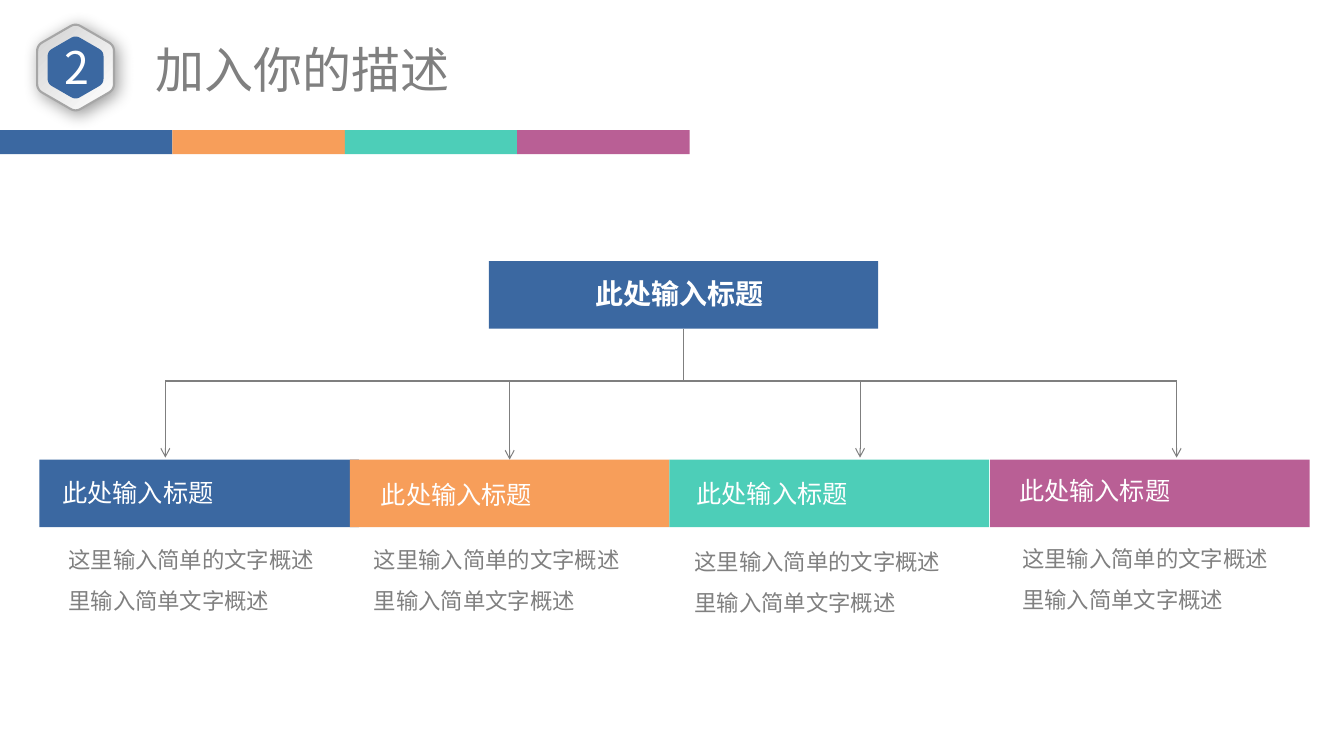
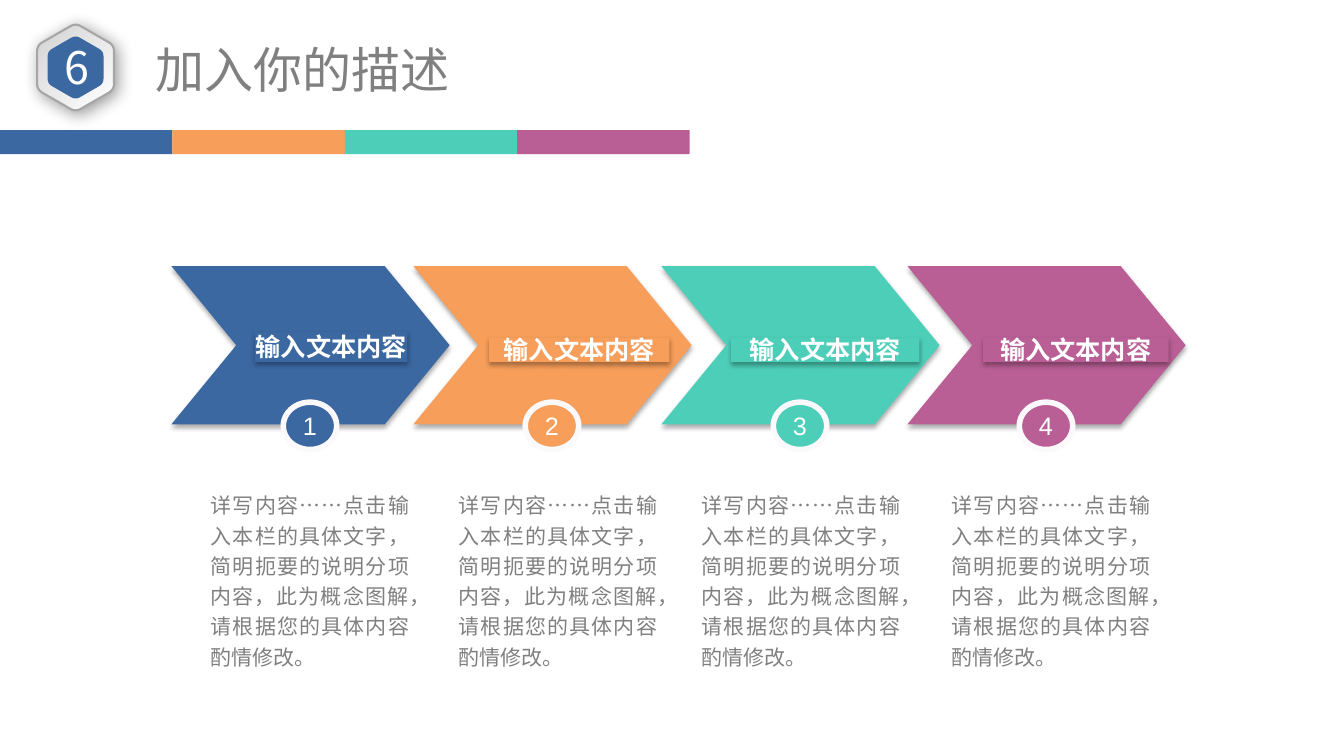
import dataclasses
import math
import typing

import pptx
import pptx.dml.color
import pptx.enum.shapes
import pptx.enum.text
import pptx.oxml
import pptx.oxml.ns
import pptx.shapes.autoshape
import pptx.shapes.base
import pptx.shapes.connector
import pptx.slide
import pptx.util

Inches = pptx.util.Inches
Pt = pptx.util.Pt
KIND = pptx.enum.shapes.MSO_SHAPE
ALIGN = pptx.enum.text.PP_ALIGN
ANCHOR = pptx.enum.text.MSO_ANCHOR
Frame = tuple[float, float, float, float]

COLORS = {
    "blue": "3B68A1", "orange": "F79E5A", "green": "4DCEB8", "pink": "B95F95",
    "text": "808080", "line": "7F7F7F", "white": "FFFFFF", "silver": "D3D3D3",
    "edge": "A6A6A6", "ring": "FBF9FC",
}
BANDS = ("blue", "orange", "green", "pink")
SANS = "Noto Sans CJK SC"
WIDE, HIGH = 13.33, 7.5
BAND = 1.71
TILE = 3.17
ROW, RAIL = 4.56, 3.78
NOTE = "这里输入简单的文字概述里输入简单文字概述"
DETAIL = "详写内容……点击输入本栏的具体文字，简明扼要的说明分项内容，此为概念图解，请根据您的具体内容酌情修改。"


@dataclasses.dataclass(frozen=True)
class Style:
    size: float
    color: str = "text"
    bold: bool = False
    face: str = SANS
    align: typing.Any = ALIGN.LEFT
    anchor: typing.Any = ANCHOR.TOP
    inset: tuple[float, float] = (0.1, 0.05)
    space: float = 1.0


@dataclasses.dataclass(frozen=True)
class Shade:
    alpha: int
    blur: float
    gap: float
    angle: int


@dataclasses.dataclass(frozen=True)
class Branch:
    color: str
    left: float
    arrow: float
    head: tuple[float, float]
    note: tuple[float, float]


@dataclasses.dataclass(frozen=True)
class Step:
    color: str
    left: float
    label: Frame
    body: float


TITLE = Style(35, align=ALIGN.CENTER, anchor=ANCHOR.MIDDLE, inset=(0.13, 0.06))
NUMBER = Style(32, "white", align=ALIGN.CENTER, inset=(0.07, 0.04))
ROOT = Style(20, "white", True)
HEAD = Style(18, "white")
BODY = Style(16, space=1.5)
LABEL = Style(18, "white", True, align=ALIGN.CENTER, anchor=ANCHOR.MIDDLE, inset=(0, 0))
COUNT = dataclasses.replace(LABEL, bold=False, face="Arial")
PROSE = Style(15, align=ALIGN.JUSTIFY, inset=(0, 0), space=1.2)
GLOW = Shade(40, 12, 3, 45)
DROP = Shade(32, 3.5, 2.2, 90)

BRANCHES = (
    Branch("blue", 0.39, 1.64, (0.52, 4.69), (0.58, 5.24)),
    Branch("orange", 3.47, 5.02, (3.68, 4.71), (3.61, 5.24)),
    Branch("green", 6.64, 8.53, (6.81, 4.7), (6.79, 5.26)),
    Branch("pink", 9.82, 11.67, (10.01, 4.67), (10.04, 5.23)),
)
STEPS = (
    Step("blue", 1.7, (2.53, 3.29, 1.51, 0.3), 2.09),
    Step("orange", 4.1, (4.85, 3.35, 1.79, 0.24), 4.55),
    Step("green", 6.56, (7.25, 3.35, 1.87, 0.24), 6.96),
    Step("pink", 9.0, (9.75, 3.35, 1.84, 0.24), 9.44),
)


def tint(name: str) -> pptx.dml.color.RGBColor:
    return pptx.dml.color.RGBColor.from_string(COLORS[name])


def write(shape: pptx.shapes.base.BaseShape, text: str, style: Style, wrap: bool = True) -> None:
    frame = shape.text_frame
    across, down = (Inches(gap) for gap in style.inset)
    box = {
        "word_wrap": wrap, "vertical_anchor": style.anchor,
        "margin_left": across, "margin_right": across,
        "margin_top": down, "margin_bottom": down,
    }
    for name, value in box.items():
        setattr(frame, name, value)
    line = frame.paragraphs[0]
    line.alignment = style.align
    line.line_spacing = style.space
    run = line.add_run()
    run.text = text
    for name, value in {"size": Pt(style.size), "bold": style.bold, "name": style.face}.items():
        setattr(run.font, name, value)
    run.font.color.rgb = tint(style.color)
    props = run._r.get_or_add_rPr()
    props.append(props.makeelement(pptx.oxml.ns.qn("a:ea"), {"typeface": style.face}))


def put_text(slide: pptx.slide.Slide, frame: Frame, text: str, style: Style) -> None:
    write(slide.shapes.add_textbox(*map(Inches, frame)), text, style)


def paint(shape: pptx.shapes.autoshape.Shape, color: str, shade: Shade | None = None) -> None:
    shape.fill.solid()
    shape.fill.fore_color.rgb = tint(color)
    shape.line.fill.background()
    shape.shadow.inherit = False
    if shade:
        cast(shape, shade)


def cast(shape: pptx.shapes.autoshape.Shape, shade: Shade) -> None:
    shape.shadow.inherit = False
    node = pptx.oxml.parse_xml(
        f'<a:outerShdw {pptx.oxml.ns.nsdecls("a")} blurRad="{Pt(shade.blur)}" '
        f'dist="{Pt(shade.gap)}" dir="{shade.angle * 60000}" algn="ctr" rotWithShape="0">'
        f'<a:srgbClr val="000000"><a:alpha val="{shade.alpha * 1000}"/></a:srgbClr>'
        "</a:outerShdw>"
    )
    shape._element.spPr.find(pptx.oxml.ns.qn("a:effectLst")).append(node)


def put_shape(
    slide: pptx.slide.Slide, kind: typing.Any, frame: Frame, color: str, shade: Shade | None = None
) -> pptx.shapes.autoshape.Shape:
    shape = slide.shapes.add_shape(kind, *map(Inches, frame))
    paint(shape, color, shade)
    return shape


def put_line(
    slide: pptx.slide.Slide, start: tuple[float, float], end: tuple[float, float], arrow: bool = False
) -> pptx.shapes.connector.Connector:
    line = slide.shapes.add_connector(
        pptx.enum.shapes.MSO_CONNECTOR.STRAIGHT, *map(Inches, (*start, *end))
    )
    line.line.color.rgb = tint("line")
    line.line.width = Pt(0.75)
    props = line._element.spPr
    if arrow:
        stroke = props.find(pptx.oxml.ns.qn("a:ln"))
        stroke.append(stroke.makeelement(pptx.oxml.ns.qn("a:tailEnd"), {"type": "arrow"}))
    props.append(props.makeelement(pptx.oxml.ns.qn("a:effectLst"), {}))
    return line


def put_hex(slide: pptx.slide.Slide, radius: float, cut: float) -> pptx.shapes.autoshape.Shape:
    angles = [math.radians(60 * turn - 90) for turn in range(6)]
    peaks = [(0.75 + radius * math.cos(a), 0.67 + radius * math.sin(a)) for a in angles]
    points = []
    for index, peak in enumerate(peaks):
        start, end = (
            [p + (q - p) * cut / radius for p, q in zip(peak, peaks[near])]
            for near in (index - 1, (index + 1) % 6)
        )
        for part in range(7):
            t = part / 6
            points.append(tuple(
                Inches((1 - t) ** 2 * a + 2 * t * (1 - t) * b + t * t * c)
                for a, b, c in zip(start, peak, end)
            ))
    path = slide.shapes.build_freeform(*points[0])
    path.add_line_segments(points[1:], close=True)
    return path.convert_to_shape()


def put_top(slide: pptx.slide.Slide, number: str) -> None:
    for index, color in enumerate(BANDS):
        put_shape(slide, KIND.RECTANGLE, (index * BAND, 1.29, BAND, 0.24), color)
    put_text(slide, (1.1, 0.35, 3.8, 0.67), "加入你的描述", TITLE)
    rim = put_hex(slide, 0.44, 0.06)
    rim.fill.gradient()
    rim.fill.gradient_angle = 315
    for stop, color in zip(rim.fill.gradient_stops, ("silver", "white")):
        stop.color.rgb = tint(color)
    rim.line.color.rgb = tint("edge")
    rim.line.width = Pt(1.5)
    cast(rim, GLOW)
    paint(put_hex(slide, 0.32, 0.05), "blue")
    put_text(slide, (0.42, 0.35, 0.69, 0.61), number, NUMBER)


def draw_tree(slide: pptx.slide.Slide) -> None:
    root = put_shape(slide, KIND.RECTANGLE, (4.85, 2.59, 3.86, 0.67), "blue")
    put_text(slide, (5.81, 2.69, 3.25, 0.47), "此处输入标题", ROOT)
    stem = put_line(slide, (6.78, 3.26), (6.78, RAIL))
    stem.begin_connect(root, 2)
    put_line(slide, (BRANCHES[0].arrow, RAIL), (BRANCHES[-1].arrow, RAIL))
    for branch in BRANCHES:
        tile = put_shape(slide, KIND.RECTANGLE, (branch.left, ROW, TILE, 0.67), branch.color)
        middle = branch.left + TILE / 2
        joined = abs(middle - branch.arrow) < 0.05
        across = middle if joined else branch.arrow
        line = put_line(slide, (across, RAIL), (across, ROW - 0.02), arrow=True)
        if joined:
            line.end_connect(tile, 0)
        put_text(slide, (*branch.head, 2.61, 0.43), "此处输入标题", HEAD)
        put_text(slide, (*branch.note, 2.75, 0.91), NOTE, BODY)


def draw_steps(slide: pptx.slide.Slide) -> None:
    for index, step in enumerate(STEPS, 1):
        arrow = put_shape(slide, KIND.CHEVRON, (step.left, 2.64, 2.76, 1.57), step.color, DROP)
        arrow.adjustments[0] = 0.41
        label = put_shape(slide, KIND.RECTANGLE, step.label, step.color, DROP)
        write(label, "输入文本内容", LABEL)
        badge = put_shape(slide, KIND.OVAL, (step.left + 1.11, 3.99, 0.53, 0.47), step.color)
        badge.line.color.rgb = tint("ring")
        badge.line.width = Pt(4)
        write(badge, str(index), COUNT, wrap=False)
        put_text(slide, (step.body, 4.84, 1.97, 1.82), DETAIL, PROSE)


def main() -> None:
    deck = pptx.Presentation()
    deck.slide_width, deck.slide_height = Inches(WIDE), Inches(HIGH)
    for number, draw in (("2", draw_tree), ("6", draw_steps)):
        slide = deck.slides.add_slide(deck.slide_layouts[6])
        put_top(slide, number)
        draw(slide)
    deck.save("out.pptx")


if __name__ == "__main__":
    main()
